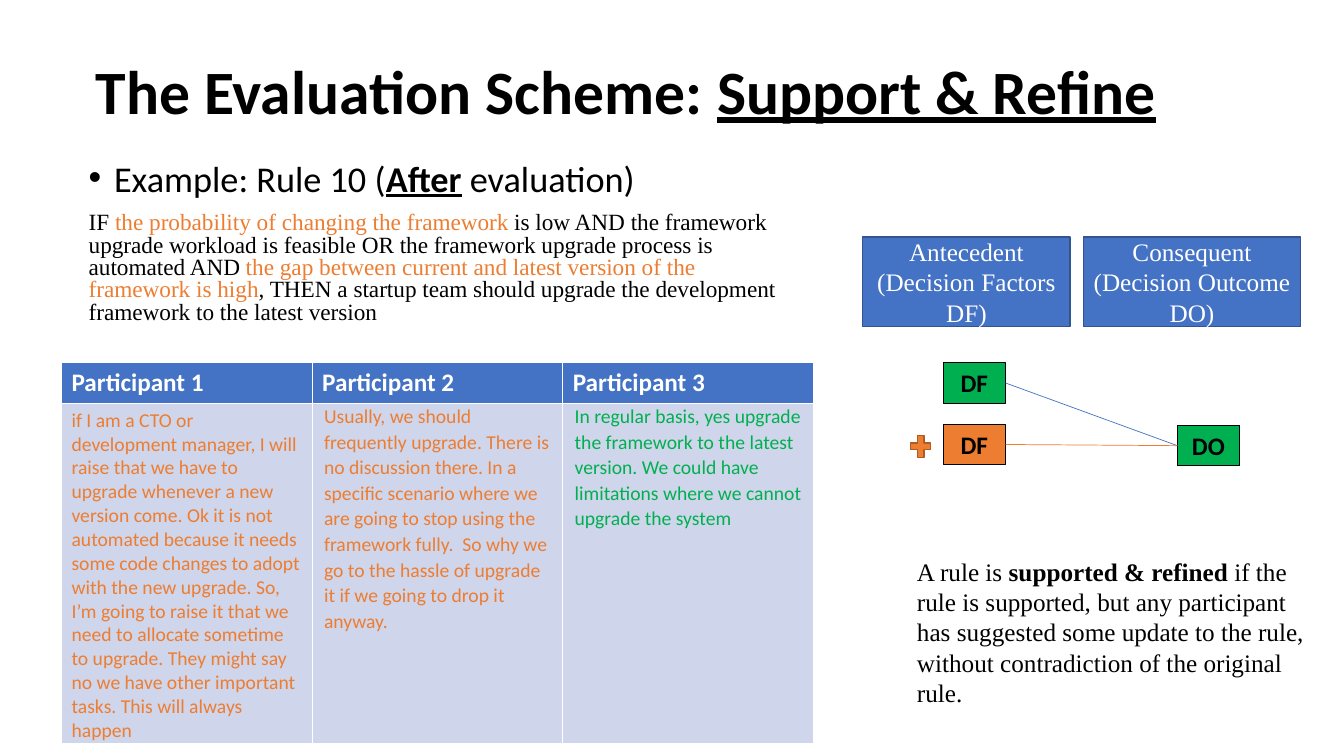
import pptx
import pptx.util
import pptx.dml.color
import pptx.enum.shapes
import pptx.enum.text
import pptx.oxml
import pptx.oxml.ns

Cm, Pt = pptx.util.Cm, pptx.util.Pt
SHAPE = pptx.enum.shapes.MSO_SHAPE
ALIGN = pptx.enum.text.PP_ALIGN
ANCHOR = pptx.enum.text.MSO_ANCHOR
FIT = pptx.enum.text.MSO_AUTO_SIZE
SANS, SERIF = "Calibri", "Times New Roman"
C = {
    "black": "000000", "white": "FFFFFF", "blue": "4472C4", "navy": "325491",
    "orange": "ED7D31", "rust": "AF5C24", "green": "00B050", "pale": "CFD5EA",
}


def rgb(name):
    """Return the named colour."""
    return pptx.dml.color.RGBColor.from_string(C[name])


def style(r, size, font, color="black", bold=False, underline=False):
    """Format one run."""
    f = r.font
    f.size, f.name, f.bold, f.underline = Pt(size), font, bold, underline
    f.color.rgb = rgb(color)


def add_runs(p, size, font, parts):
    """Add runs given as pairs of text and formatting."""
    for text, options in parts:
        r = p.add_run()
        r.text = text
        style(r, size, font, **options)


def place(sp, x, y, w, h):
    """Move a shape to a box in centimetres."""
    sp.left, sp.top, sp.width, sp.height = Cm(x), Cm(y), Cm(w), Cm(h)


def set_bullet(p, indent, char=None):
    """Give a paragraph a hanging bullet, or none."""
    pPr = p._p.get_or_add_pPr()
    pPr.set("marL", str(Cm(indent)))
    pPr.set("indent", str(-Cm(indent)))
    ns = pptx.oxml.ns.nsdecls("a")
    xml = f'<a:buChar {ns} char="{char}"/>' if char else f"<a:buNone {ns}/>"
    pPr.append(pptx.oxml.parse_xml(xml))


def add_title(s, x, y, w, h):
    """Fill the title placeholder."""
    sp = s.shapes.title
    place(sp, x, y, w, h)
    tf = sp.text_frame
    tf.auto_size, tf.vertical_anchor = FIT.NONE, ANCHOR.MIDDLE
    p = tf.paragraphs[0]
    p.alignment, p.line_spacing = ALIGN.LEFT, 0.9
    add_runs(p, 44, SANS, [
        ("The Evaluation Scheme: ", {"bold": True}),
        ("Support & Refine", {"bold": True, "underline": True}),
    ])


def add_rule(s, x, y, w, h):
    """Fill the body placeholder with the example rule."""
    sp = s.placeholders[1]
    place(sp, x, y, w, h)
    tf = sp.text_frame
    tf.auto_size, tf.vertical_anchor = FIT.NONE, ANCHOR.TOP
    heading, rule = tf.paragraphs[0], tf.add_paragraph()
    for p in (heading, rule):
        p.line_spacing, p.space_before = 0.8, Pt(10)
    set_bullet(heading, 0.64, "•")
    set_bullet(rule, 0)
    add_runs(heading, 25.9, SANS, [
        ("Example: Rule 10 (", {}),
        ("After", {"bold": True, "underline": True}),
        (" evaluation)", {}),
    ])
    add_runs(rule, 16.6, SERIF, [
        ("IF ", {}),
        ("the probability of changing the framework", {"color": "orange"}),
        (" is low AND the framework upgrade workload is feasible OR the framework "
         "upgrade process is automated AND ", {}),
        ("the gap between current and latest version of the framework is high",
         {"color": "orange"}),
        (", THEN a startup team should upgrade the development framework to the "
         "latest version", {}),
    ])


def add_answers(s, x, y, w, h):
    """Add the table of participant answers."""
    answers = [
        ("Participant 1", "orange",
         "if I am a CTO or development manager, I will raise that we have to upgrade "
         "whenever a new version come. Ok it is not automated because it needs some "
         "code changes to adopt with the new upgrade. So, I’m going to raise it that "
         "we need to allocate sometime to upgrade. They might say no we have other "
         "important tasks. This will always happen"),
        ("Participant 2", "orange",
         "Usually, we should frequently upgrade. There is no discussion there. In a "
         "specific scenario where we are going to stop using the framework fully.  So "
         "why we go to the hassle of upgrade it if we going to drop it anyway."),
        ("Participant 3", "green",
         "In regular basis, yes upgrade the framework to the latest version. We could "
         "have limitations where we cannot upgrade the system"),
    ]
    head = 1.03
    table = s.shapes.add_table(2, len(answers), Cm(x), Cm(y), Cm(w), Cm(h)).table
    table.rows[0].height, table.rows[1].height = Cm(head), Cm(h - head)
    for i, (name, color, answer) in enumerate(answers):
        table.columns[i].width = Cm(w / len(answers))
        top, cell = table.cell(0, i), table.cell(1, i)
        for c, text, fill in ((top, name, "blue"), (cell, answer, "pale")):
            c.text = text
            c.fill.solid()
            c.fill.fore_color.rgb = rgb(fill)
        style(top.text_frame.paragraphs[0].runs[0], 18, SANS, "white", True)
        p = cell.text_frame.paragraphs[0]
        style(p.runs[0], 14, SANS, color)
        if i > 0:
            cell.margin_left = cell.margin_right = Cm(0.3)
            cell.margin_top = cell.margin_bottom = 0
            p.line_spacing, p.space_after = 1.07, Pt(8)


def add_box(s, kind, box, fill, line, width):
    """Add a filled, outlined shape without shadow."""
    sp = s.shapes.add_shape(kind, *map(Cm, box))
    sp.shadow.inherit = False
    sp.fill.solid()
    sp.fill.fore_color.rgb = rgb(fill)
    sp.line.color.rgb = rgb(line)
    sp.line.width = Pt(width)
    return sp


def add_headings(s, x, y, w, h):
    """Add the antecedent and consequent headings."""
    left, gap = 5.23, 0.34
    right = left + gap
    for dx, width, text in (
        (0, left, "Antecedent\n(Decision Factors DF)"),
        (right, w - right, "Consequent\n(Decision Outcome DO)"),
    ):
        sp = add_box(s, SHAPE.RECTANGLE, (x + dx, y, width, h), "blue", "navy", 1)
        tf = sp.text_frame
        tf.text, tf.vertical_anchor = text, ANCHOR.MIDDLE
        for p in tf.paragraphs:
            p.alignment = ALIGN.CENTER
            style(p.runs[0], 18, SERIF, "white")


def add_node(s, x, y, text, fill):
    """Add one labelled node of the diagram."""
    sp = add_box(s, SHAPE.RECTANGLE, (x, y, 1.57, 1.02), fill, "black", 0.75)
    tf = sp.text_frame
    tf.text, tf.vertical_anchor = text, ANCHOR.TOP
    tf.auto_size = FIT.SHAPE_TO_FIT_TEXT
    p = tf.paragraphs[0]
    p.alignment = ALIGN.CENTER
    style(p.runs[0], 18, SANS, bold=True)
    return sp


def add_diagram(s, x, y, w, h):
    """Link both decision factors to the outcome."""
    outcome = add_node(s, x + w - 1.57, y + h - 1.02, "DO", "green")
    for dy, fill, line in ((0, "green", "blue"), (1.55, "orange", "orange")):
        factor = add_node(s, x + 0.91, y + dy, "DF", fill)
        link = s.shapes.add_connector(
            pptx.enum.shapes.MSO_CONNECTOR.STRAIGHT, 0, 0, 0, 0)
        link.begin_connect(factor, 3)
        link.end_connect(outcome, 1)
        link.line.color.rgb = rgb(line)
        link.line.width = Pt(0.5)
        link._element.spPr.append(
            pptx.oxml.parse_xml(f"<a:effectLst {pptx.oxml.ns.nsdecls('a')}/>"))
    add_box(s, SHAPE.MATH_PLUS, (x, y + 1.73, 0.69, 0.76), "orange", "rust", 1)


def add_definition(s, x, y, w, h):
    """Add the definition of a supported and refined rule."""
    tf = s.shapes.add_textbox(Cm(x), Cm(y), Cm(w), Cm(h)).text_frame
    tf.word_wrap, tf.auto_size = True, FIT.SHAPE_TO_FIT_TEXT
    add_runs(tf.paragraphs[0], 18, SERIF, [
        ("A rule is ", {}),
        ("supported & refined ", {"bold": True}),
        ("if the rule is supported, but any participant has suggested some update to "
         "the rule, without contradiction of the original rule.", {}),
    ])


def main():
    """Build and save the slide."""
    prs = pptx.Presentation()
    prs.slide_width, prs.slide_height = Cm(33.87), Cm(19.05)
    s = prs.slides.add_slide(prs.slide_layouts[1])
    add_title(s, 2.16, 0.53, 29.21, 3.68)
    add_rule(s, 1.98, 4.01, 18.03, 4.75)
    add_headings(s, 21.74, 5.97, 11.03, 2.26)
    add_diagram(s, 22.86, 9.14, 8.38, 2.6)
    add_definition(s, 22.86, 13.89, 10.31, 4.11)
    add_answers(s, 1.55, 9.14, 18.95, 9.58)
    prs.save("out.pptx")


if __name__ == "__main__":
    main()
